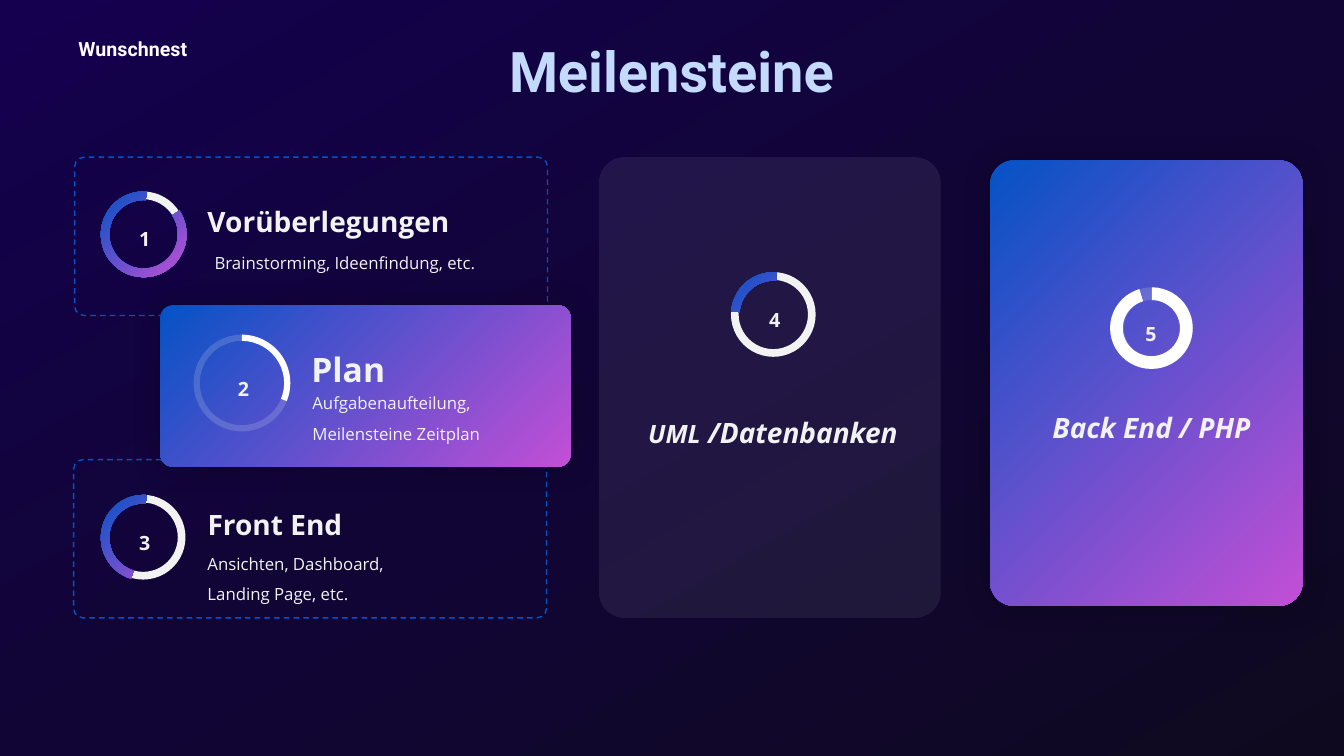
from lxml import etree
from pptx import Presentation
from pptx.dml.color import RGBColor
from pptx.enum.dml import MSO_LINE
from pptx.enum.shapes import MSO_SHAPE
from pptx.enum.text import MSO_AUTO_SIZE, PP_ALIGN
from pptx.oxml.ns import qn
from pptx.util import Inches, Pt

ROUND = MSO_SHAPE.ROUNDED_RECTANGLE
DONUT = MSO_SHAPE.DONUT
ARC = MSO_SHAPE.BLOCK_ARC
DASH = MSO_LINE.DASH
GROW = MSO_AUTO_SIZE.SHAPE_TO_FIT_TEXT
LEFT, MID, FULL = PP_ALIGN.LEFT, PP_ALIGN.CENTER, PP_ALIGN.JUSTIFY

BLUE, PINK = "0552C5", "C34FD6"
WHITE, PALE, SKY = "FFFFFF", "F2F2F2", "C3DAFD"
GLOW = [(0, BLUE), (100, PINK)]
NIGHT = [(0, "14004E"), (51, "110536"), (100, "0F0920")]
TOP = 162.42
TURN = 164.19


def color(code):
    return RGBColor.from_string(code)


def blend(fill, root, stops, angle):
    fill.gradient()
    fill.gradient_angle = 360 - angle
    items = next(root.iter(qn("a:gsLst")))
    for old in list(items):
        items.remove(old)
    for pos, code in stops:
        stop = etree.SubElement(items, qn("a:gs"), pos=str(pos * 1000))
        etree.SubElement(stop, qn("a:srgbClr"), val=code)


def paint(shape, code, alpha=100):
    shape.fill.solid()
    shape.fill.fore_color.rgb = color(code)
    if alpha < 100:
        tint = next(shape._element.spPr.iter(qn("a:srgbClr")))
        etree.SubElement(tint, qn("a:alpha"), val=str(alpha * 1000))


def shade(shape):
    effects = shape._element.spPr.find(qn("a:effectLst"))
    outer = etree.SubElement(effects, qn("a:outerShdw"), blurRad=str(Pt(20)),
                             dist="0", dir="0", algn="ctr", rotWithShape="0")
    tint = etree.SubElement(outer, qn("a:srgbClr"), val="000000")
    etree.SubElement(tint, qn("a:alpha"), val="25000")


def add(slide, kind, left, top, width, height, adjusts):
    shape = slide.shapes.add_shape(
        kind, Inches(left), Inches(top), Inches(width), Inches(height))
    for index, value in enumerate(adjusts):
        shape.adjustments[index] = value
    shape.shadow.inherit = False
    shape.line.fill.background()
    return shape


def frame(slide, left, top):
    shape = add(slide, ROUND, left, top, 4.69, 1.57, [0.06])
    shape.fill.background()
    shape.line.color.rgb = color(BLUE)
    shape.line.width = Pt(1)
    shape.line.dash_style = DASH


def card(slide, left, top, width, height):
    shape = add(slide, ROUND, left, top, width, height, [0.077])
    blend(shape.fill, shape._element.spPr, GLOW, 45)
    shade(shape)


def text(slide, left, top, width, height, runs, align=LEFT, font="Open Sans",
         code=PALE, bold=True, slant=False, space=1.5):
    box = slide.shapes.add_textbox(
        Inches(left), Inches(top), Inches(width), Inches(height))
    box.text_frame.word_wrap = True
    box.text_frame.auto_size = GROW
    para = box.text_frame.paragraphs[0]
    para.alignment = align
    para.line_spacing = space
    for words, size in runs:
        run = para.add_run()
        run.text = words
        run.font.size = Pt(size)
        run.font.name = font
        run.font.bold = bold
        run.font.italic = slant
        run.font.color.rgb = color(code)


def label(slide, number, left, top, width=0.75):
    text(slide, left, top, width, 0.42, [(number, 14)], MID)


def dial(slide, number, left, top, start):
    ring = add(slide, DONUT, left, top, 0.84, 0.84, [0.091])
    paint(ring, PALE)
    arc = add(slide, ARC, left, top, 0.85, 0.85, [start, TURN, 0.099])
    blend(arc.fill, arc._element.spPr, GLOW, 45)
    label(slide, number, left + 0.06, top + 0.19)


def meter(slide, left, top, size, end, thick):
    ring = add(slide, DONUT, left, top, size, size, [thick])
    paint(ring, PALE, 17)
    arc = add(slide, ARC, left - 0.01, top, size + 0.01, size, [TOP, end, thick])
    paint(arc, WHITE)


def main():
    deck = Presentation()
    deck.slide_width, deck.slide_height = Inches(13.33), Inches(7.5)
    slide = deck.slides.add_slide(deck.slide_layouts[6])
    blend(slide.background.fill, slide._element, NIGHT, 60)

    text(slide, 0.68, 0.32, 1.52, 0.37, [("Wunschnest", 14)],
         font="Roboto", code=WHITE, space=1)
    text(slide, 4.48, 0.31, 4.36, 0.77, [("Meilensteine", 40)], MID,
         font="Roboto", code=SKY, space=1)

    frame(slide, 0.73, 4.56)
    frame(slide, 0.74, 1.56)
    card(slide, 1.59, 3.03, 4.07, 1.6)
    card(slide, 9.82, 1.59, 3.1, 4.42)
    panel = add(slide, ROUND, 5.94, 1.56, 3.39, 4.57, [0.075])
    paint(panel, WHITE, 7)

    dial(slide, "1", 1, 1.9, 195.86)
    dial(slide, "3", 1, 4.91, 64.27)
    dial(slide, "4", 7.25, 2.7, 110.89)
    meter(slide, 1.92, 3.32, 0.96, 13.1, 0.064)
    label(slide, "2", 2.04, 3.57)
    meter(slide, 11.02, 2.85, 0.81, 151.66, 0.156)
    label(slide, "5", 11.1, 3.03, 0.63)

    text(slide, 1.96, 1.81, 3.3, 0.55, [("Vorüberlegungen", 20)], FULL)
    text(slide, 2.03, 2.36, 2.82, 0.37,
         [("Brainstorming, Ideenfindung, etc.", 12)], FULL, bold=False)
    text(slide, 2.99, 3.21, 2.27, 0.64, [("Plan", 24)], FULL)
    text(slide, 3, 3.75, 2.27, 0.67,
         [("Aufgabenaufteilung, Meilensteine Zeitplan", 12)], FULL, bold=False)
    text(slide, 1.96, 4.82, 3.31, 0.55, [("Front End", 20)], FULL)
    text(slide, 1.96, 5.34, 2.27, 0.67,
         [("Ansichten, Dashboard, Landing Page, etc.", 12)], bold=False)
    text(slide, 6.33, 3.91, 2.69, 0.55,
         [("UML", 18), (" /Datenbanken", 20)], slant=True)
    text(slide, 10.34, 3.86, 2.2, 0.55, [("Back End / PHP", 20)], slant=True)

    deck.save("out.pptx")


if __name__ == "__main__":
    main()
